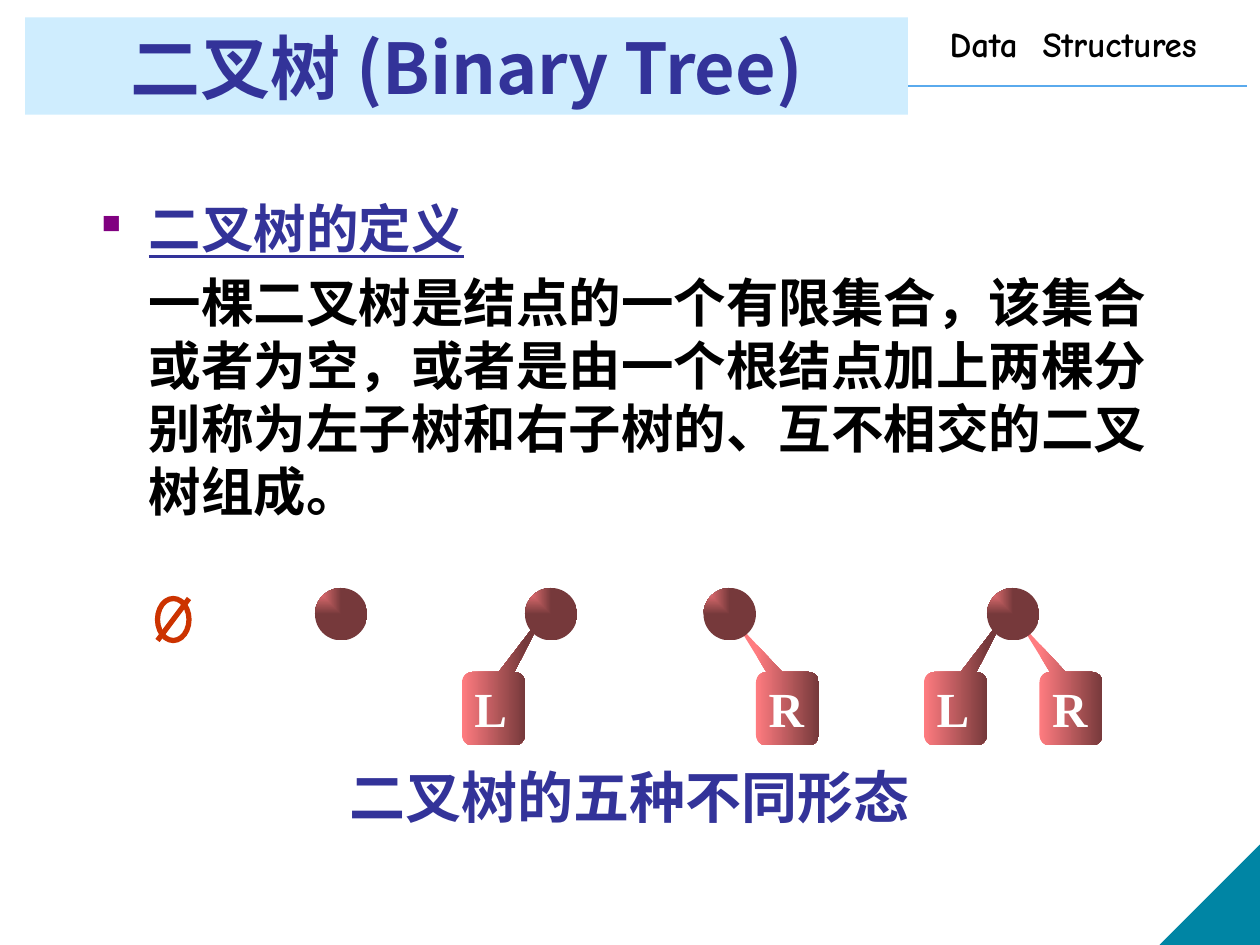
from lxml import etree
from pptx import Presentation
from pptx.dml.color import RGBColor
from pptx.enum.shapes import MSO_CONNECTOR, MSO_SHAPE
from pptx.enum.text import MSO_ANCHOR, PP_ALIGN
from pptx.oxml.ns import qn
from pptx.util import Pt

RECTANGLE, OVAL = MSO_SHAPE.RECTANGLE, MSO_SHAPE.OVAL
CALLOUT, CORNER = MSO_SHAPE.ROUNDED_RECTANGULAR_CALLOUT, MSO_SHAPE.RIGHT_TRIANGLE
STRAIGHT = MSO_CONNECTOR.STRAIGHT
TOP, MIDDLE, BOTTOM = MSO_ANCHOR.TOP, MSO_ANCHOR.MIDDLE, MSO_ANCHOR.BOTTOM
LEFT, CENTER = PP_ALIGN.LEFT, PP_ALIGN.CENTER

SERIF, SANS, COMIC = "Times New Roman", "Noto Sans CJK JP", "Comic Neue"
INDIGO, BLACK, WHITE = "333399", "000000", "FFFFFF"
TEAL, SKY, RULE, RED, PURPLE = "0085A4", "CFEDFE", "5AAAED", "CC3300", "800080"
NODE_STOPS = ("FF7C80", "76393B")

COURSE = "Data  Structures"
TITLE = "二叉树 (Binary Tree)"
HEADING = "二叉树的定义"
DEFINITION = ("一棵二叉树是结点的一个有限集合，该集合或者为空，或者是由一个根结点加上"
              "两棵分别称为左子树和右子树的、互不相交的二叉树组成。")
CAPTION = "二叉树的五种不同形态"

TREES = [
    (180, {}),
    (300, {"L": 264}),
    (402, {"R": 432}),
    (564, {"L": 528, "R": 594}),
]
POINTERS = {"L": (0.819, -1.318, 0.167), "R": (-0.83, -1.188, 0.167)}
LABEL_WIDTHS = {"L": 33, "R": 34.5}
ROOT_TOP, ROOT_SIZE = 336, 30
CHILD_TOP, CHILD_WIDTH, CHILD_HEIGHT = 384, 36, 42
EMPTY_TREE = (90, 342, 18, 24)

prs = Presentation()
prs.slide_width, prs.slide_height = Pt(720), Pt(540)
slide = prs.slides.add_slide(prs.slide_layouts[6])


def rgb(value):
    return RGBColor.from_string(value)


def add_shape(kind, box, fill=None, line=None, width=0.75):
    shape = slide.shapes.add_shape(kind, *map(Pt, box))
    shape.shadow.inherit = False
    if fill:
        shape.fill.solid()
        shape.fill.fore_color.rgb = rgb(fill)
    else:
        shape.fill.background()
    if line:
        shape.line.color.rgb = rgb(line)
        shape.line.width = Pt(width)
    else:
        shape.line.fill.background()
    return shape


def add_line(start, end, color, width):
    line = slide.shapes.add_connector(STRAIGHT, *map(Pt, start + end))
    line.line.color.rgb = rgb(color)
    line.line.width = Pt(width)
    etree.SubElement(line._element.spPr, qn("a:effectLst"))


def shade(shape, from_corner=False):
    shape.fill.gradient()
    shape.fill.gradient_angle = 0
    for stop, color, position in zip(shape.fill.gradient_stops, NODE_STOPS, (0, 1)):
        stop.color.rgb = rgb(color)
        stop.position = position
    if from_corner:
        linear = shape._element.spPr.find(".//" + qn("a:lin"))
        corner = etree.Element(qn("a:path"), {"path": "rect"})
        etree.SubElement(corner, qn("a:fillToRect"), {"r": "100000", "b": "100000"})
        linear.getparent().replace(linear, corner)


def style(paragraph, size, font, color, align=LEFT):
    paragraph.alignment = align
    paragraph.font.size = Pt(size)
    paragraph.font.name = font
    paragraph.font.bold = True
    paragraph.font.color.rgb = rgb(color)


def write(shape, text, size, font, color, align=LEFT, anchor=TOP, wrap=True):
    frame = shape.text_frame
    frame.word_wrap = wrap
    frame.vertical_anchor = anchor
    frame.text = text
    style(frame.paragraphs[0], size, font, color, align)


def add_text(box, *text_args, **text_options):
    write(slide.shapes.add_textbox(*map(Pt, box)), *text_args, **text_options)


def add_definition(box):
    frame = slide.shapes.add_textbox(*map(Pt, box)).text_frame
    frame.word_wrap = True
    heading, definition = frame.paragraphs[0], frame.add_paragraph()
    heading.text, definition.text = HEADING, DEFINITION
    for paragraph, indent in ((heading, -27), (definition, 0)):
        props = paragraph._p.get_or_add_pPr()
        props.set("marL", str(Pt(27)))
        props.set("indent", str(Pt(indent)))
    definition.space_before = Pt(6)
    props = heading._p.pPr
    bullet_color = etree.SubElement(props, qn("a:buClr"))
    etree.SubElement(bullet_color, qn("a:srgbClr"), val=PURPLE)
    etree.SubElement(props, qn("a:buSzPct"), val="50000")
    etree.SubElement(props, qn("a:buChar"), char="■")
    style(heading, 30, SERIF, INDIGO)
    heading.font.underline = True
    style(definition, 30, SERIF, BLACK)


def add_tree(root_left, children):
    for side, left in children.items():
        child = add_shape(CALLOUT, (left, CHILD_TOP, CHILD_WIDTH, CHILD_HEIGHT))
        for index, value in enumerate(POINTERS[side]):
            child.adjustments[index] = value
        shade(child)
        add_text((left, CHILD_TOP, LABEL_WIDTHS[side], 41), side, 28, SERIF, WHITE,
                 align=CENTER, anchor=MIDDLE, wrap=False)
    shade(add_shape(OVAL, (root_left, ROOT_TOP, ROOT_SIZE, ROOT_SIZE)), from_corner=True)


add_line((14.4, 49), (712.8, 49), RULE, 1)
corner = add_shape(CORNER, (663, 483, 57, 57), TEAL, TEAL)
corner._element.spPr.xfrm.set("flipH", "1")
add_text((535.5, 9.5, 187, 31), COURSE, 20, COMIC, BLACK)

title = add_shape(RECTANGLE, (14.4, 10, 504.5, 55.5), SKY)
write(title, TITLE, 40, SANS, INDIGO, align=CENTER, anchor=BOTTOM)
add_definition((51, 108.5, 626.5, 201.5))

left, top, width, height = EMPTY_TREE
add_shape(OVAL, EMPTY_TREE, line=RED, width=3)
add_line((left + width, top), (left, top + height), RED, 3)
for root_left, children in TREES:
    add_tree(root_left, children)
add_text((108, 432, 504, 45.5), CAPTION, 32, SERIF, INDIGO, align=CENTER)

prs.save("out.pptx")
